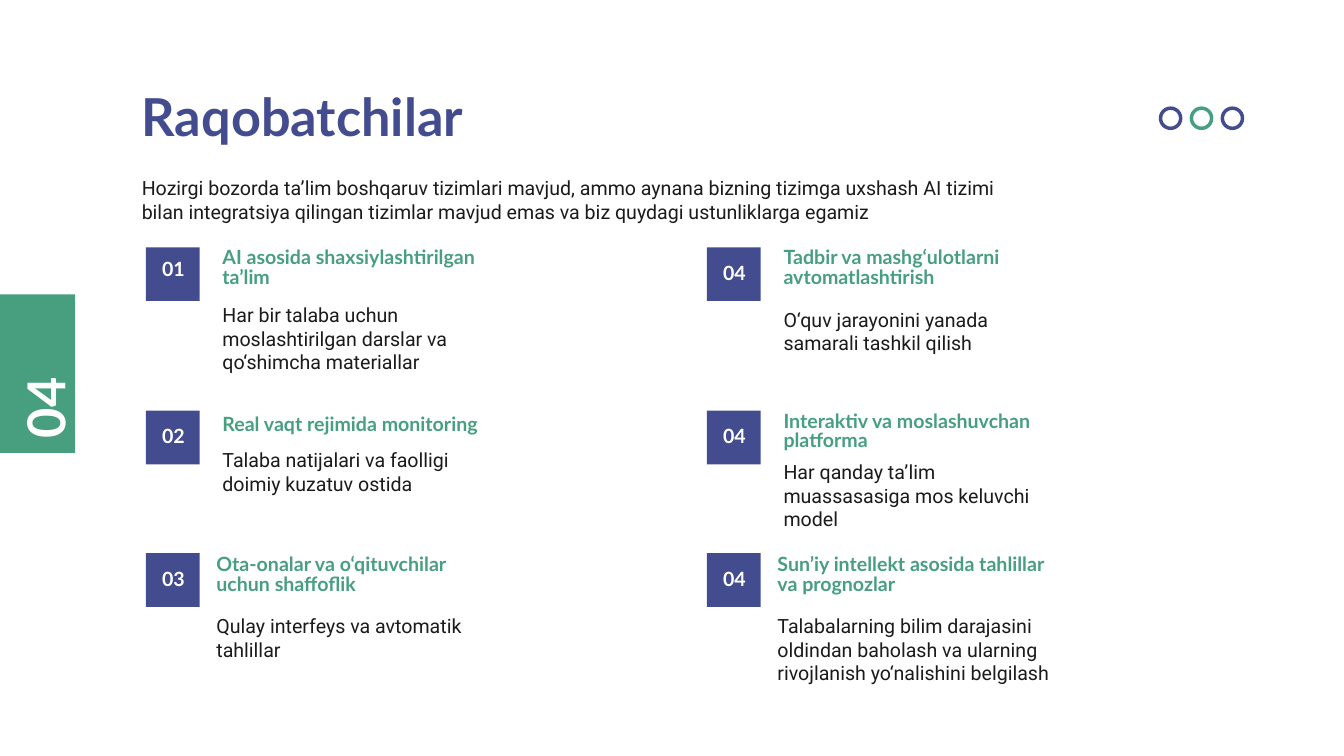
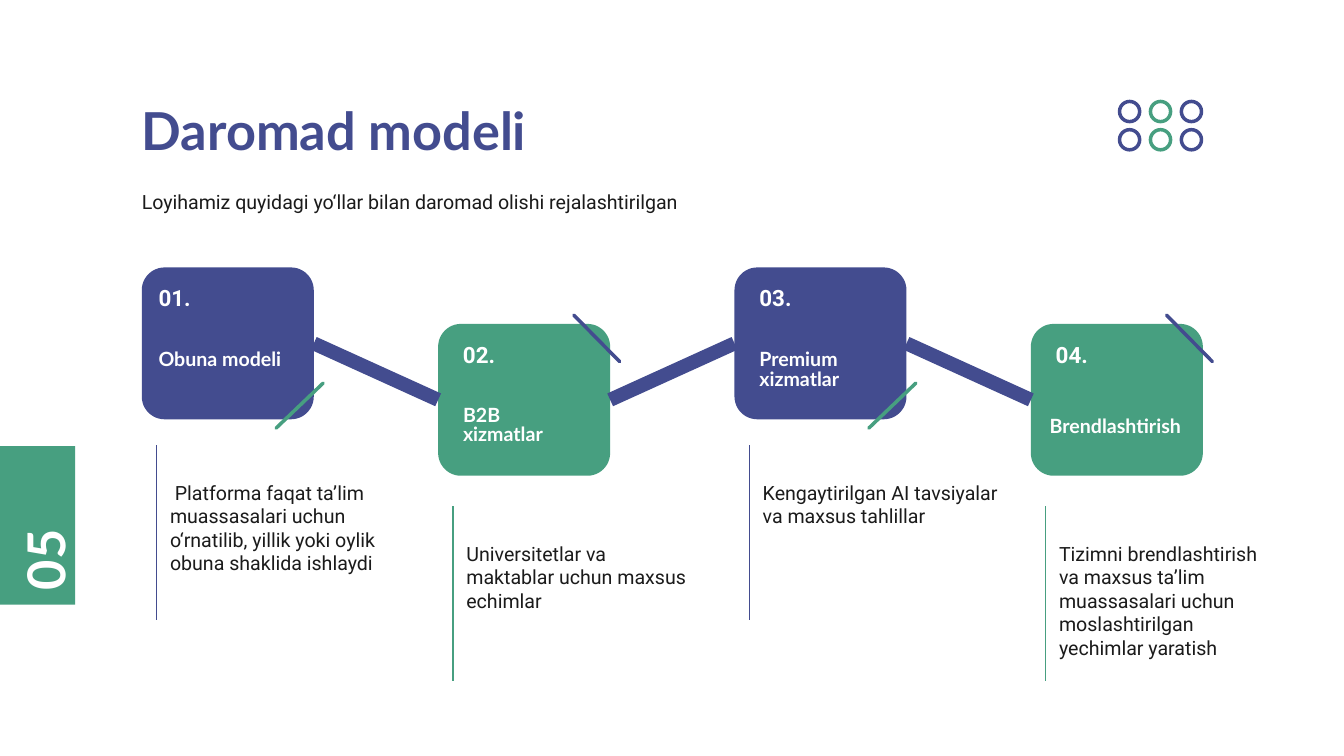
from itertools import pairwise

from pptx import Presentation
from pptx.dml.color import RGBColor
from pptx.enum.shapes import MSO_CONNECTOR, MSO_SHAPE
from pptx.enum.text import PP_ALIGN
from pptx.oxml.ns import qn
from pptx.util import Pt

PX = 9144
RECTANGLE = MSO_SHAPE.RECTANGLE
ROUNDED = MSO_SHAPE.ROUNDED_RECTANGLE
OVAL = MSO_SHAPE.OVAL
STRAIGHT = MSO_CONNECTOR.STRAIGHT
LEFT, CENTER = PP_ALIGN.LEFT, PP_ALIGN.CENTER

COLORS = {"indigo": "434C8F", "green": "479F80", "ink": "1B1B1B", "white": "FFFFFF"}
STYLES = {
    "title": ("Lato", 56, 56, True),
    "heading": ("Lato", 21, 21, True),
    "step": ("Roboto", 24, 24, True),
    "body": ("Roboto", 21, 25.2, False),
}


def add_text(page, words, style, color, left, top, width, height, align=LEFT):
    font, size, spacing, bold = STYLES[style]
    box = page.shapes.add_textbox(left * PX, top * PX, width * PX, height * PX)
    frame = box.text_frame
    frame.word_wrap = True
    frame.margin_left = frame.margin_top = frame.margin_right = frame.margin_bottom = 0
    para = frame.paragraphs[0]
    para.alignment = align
    para.line_spacing = Pt(spacing)
    span = para.add_run()
    span.text = words
    span.font.name = font
    span.font.size = Pt(size)
    span.font.bold = bold
    span.font.color.rgb = RGBColor.from_string(COLORS[color])
    return box


def add_figure(page, kind, color, left, top, width, height, outline=0):
    shape = page.shapes.add_shape(kind, left * PX, top * PX, width * PX, height * PX)
    shape.shadow.inherit = False
    paint = RGBColor.from_string(COLORS[color])
    if outline:
        shape.fill.background()
        shape.line.color.rgb = paint
        shape.line.width = Pt(outline)
    else:
        shape.fill.solid()
        shape.fill.fore_color.rgb = paint
        shape.line.fill.background()
    return shape


deck = Presentation()
deck.slide_width = 2000 * PX
deck.slide_height = 1125 * PX

openings = [
    ("04", 438, "Raqobatchilar", 141,
     "Hozirgi bozorda ta’lim boshqaruv tizimlari mavjud, ammo aynana bizning tizimga uxshash AI tizimi "
     "bilan integratsiya qilingan tizimlar mavjud emas va biz quydagi ustunliklarga egamiz",
     1727, [161]),
    ("05", 664, "Daromad modeli", 161,
     "Loyihamiz quyidagi yo‘llar bilan daromad olishi rejalashtirilgan",
     1666, [151, 193]),
]
pages = []
for number, band_top, title, title_top, intro, rings_left, ring_rows in openings:
    page = deck.slides.add_slide(deck.slide_layouts[6])
    pages.append(page)
    add_figure(page, RECTANGLE, "green", -43, band_top, 155, 236)
    add_text(page, number, "title", "white", 11, band_top + 108, 130, 82).rotation = 270
    add_text(page, title, "title", "indigo", 211, title_top, 764, 82)
    add_text(page, intro, "body", "ink", 211, title_top + 121, 1286, 70)
    for ring_top in ring_rows:
        for column, color in enumerate(["indigo", "green", "indigo"]):
            add_figure(page, OVAL, color, rings_left + 46 * column, ring_top, 30, 30, 3.75)

rivals_page, income_page = pages

advantages = [
    (217, 368, "01", 388, 331, "AI asosida shaxsiylashtirilgan ta’lim", 371,
     "Har bir talaba uchun moslashtirilgan darslar va qo‘shimcha materiallar", 451),
    (217, 611, "02", 637, 331, "Real vaqt rejimida monitoring", 619,
     "Talaba natijalari va faolligi doimiy kuzatuv ostida", 667),
    (217, 823, "03", 849, 322, "Ota-onalar va o‘qituvchilar uchun shaffoflik", 827,
     "Qulay interfeys va avtomatik tahlillar", 914),
    (1052, 368, "04", 394, 1166, "Tadbir va mashg‘ulotlarni avtomatlashtirish", 371,
     "O‘quv jarayonini yanada samarali tashkil qilish", 458),
    (1052, 611, "04", 637, 1166, "Interaktiv va moslashuvchan platforma", 614,
     "Har qanday ta’lim muassasasiga mos keluvchi model", 685),
    (1052, 823, "04", 849, 1157, "Sun’iy intellekt asosida tahlillar va prognozlar", 827,
     "Talabalarning bilim darajasini oldindan baholash va ularning rivojlanish yo‘nalishini belgilash", 914),
]
for left, top, number, number_top, text_left, heading, heading_top, body, body_top in advantages:
    add_figure(rivals_page, RECTANGLE, "indigo", left, top, 80, 80)
    add_text(rivals_page, number, "heading", "white", left + 20, number_top, 42, 32, CENTER)
    add_text(rivals_page, body, "body", "ink", text_left, body_top, 407, 104)
    add_text(rivals_page, heading, "heading", "green", text_left, heading_top, 407, 90)

sources = [
    ("01.", 25, "Obuna modeli", 25, 124, 206,
     " Platforma faqat ta’lim muassasalari uchun o‘rnatilib, yillik yoki oylik obuna shaklida ishlaydi", 352),
    ("02.", 37, "B2B xizmatlar", 37, 123, 181,
     "Universitetlar va maktablar uchun maxsus echimlar", 346),
    ("03.", 37, "Premium xizmatlar", 37, 124, 181,
     "Kengaytirilgan AI tavsiyalar va maxsus tahlillar", 352),
    ("04.", 37, "Brendlashtirish", 28, 140, 211,
     "Tizimni brendlashtirish va maxsus ta’lim muassasalari uchun moslashtirilgan yechimlar yaratish", 313),
]
cards = []
strokes = []
for index, (step, step_inset, label, label_inset, label_drop, label_width, note, note_width) in enumerate(sources):
    left = 211 + 441 * index
    if index % 2 == 0:
        color, accent, top, rule_top = "indigo", "green", 398, 662
        slash = (left + 200, top + 239, left + 270, top + 172)
    else:
        color, accent, top, rule_top = "green", "indigo", 482, 753
        slash = (left + 270, top + 56, left + 202, top - 13)
    card = add_figure(income_page, ROUNDED, color, left, top, 256, 226)
    card.adjustments[0] = 0.15
    cards.append(card)
    add_text(income_page, step, "step", "white", left + step_inset, top + 32, 56, 37)
    add_text(income_page, label, "heading", "white", left + label_inset, top + label_drop, label_width, 90)
    add_text(income_page, note, "body", "ink", left + 42, rule_top + 53, note_width, 173)
    strokes.append((left + 22, rule_top + 260, left + 22, rule_top, color, 1.5, "flat"))
    strokes.append((*slash, accent, 3.75, "rnd"))

links = [(0, 0, 0, 0, "indigo", 15, "flat")] * 3
lines = []
for start_x, start_y, end_x, end_y, color, width, cap in links + strokes:
    line = income_page.shapes.add_connector(STRAIGHT, start_x * PX, start_y * PX, end_x * PX, end_y * PX)
    line.line.color.rgb = RGBColor.from_string(COLORS[color])
    line.line.width = Pt(width)
    properties = line._element.spPr
    properties.find(qn("a:ln")).set("cap", cap)
    properties.append(properties.makeelement(qn("a:effectLst"), {}))
    lines.append(line)

for link, (before, after) in zip(lines, pairwise(cards)):
    link.begin_connect(before, 3)
    link.end_connect(after, 1)

deck.save("out.pptx")
